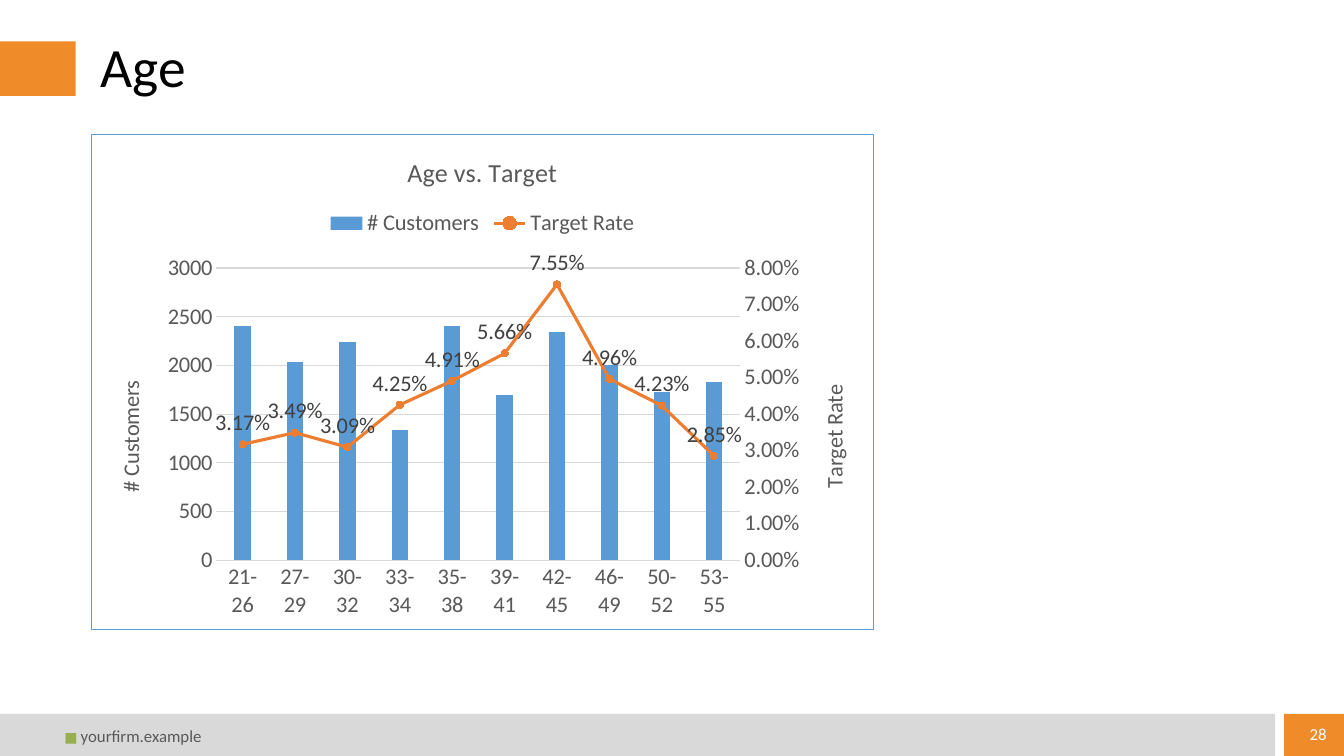
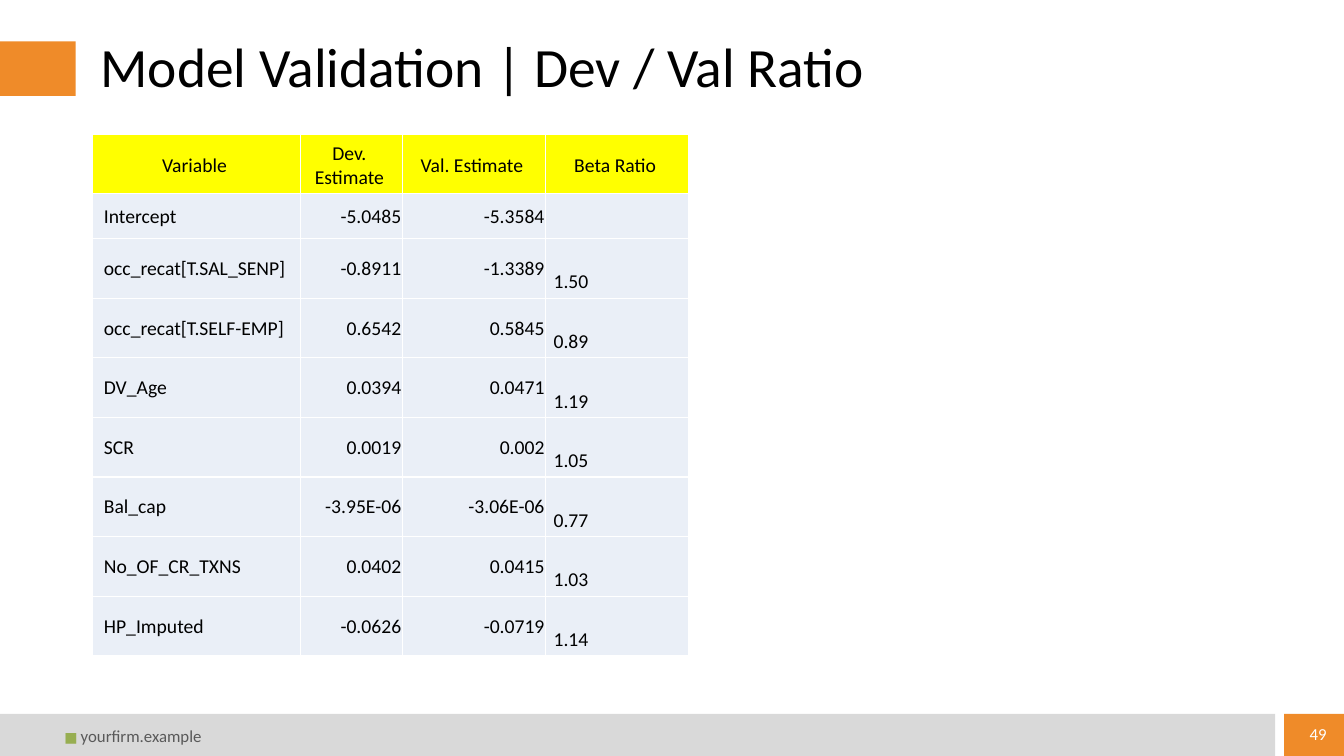
from copy import deepcopy

from pptx import Presentation
from pptx.chart.axis import CategoryAxis, ValueAxis
from pptx.chart.data import CategoryChartData
from pptx.dml.color import RGBColor
from pptx.enum.chart import (XL_CHART_TYPE, XL_LABEL_POSITION,
                             XL_LEGEND_POSITION, XL_MARKER_STYLE, XL_TICK_MARK)
from pptx.enum.shapes import MSO_SHAPE
from pptx.enum.text import MSO_ANCHOR, PP_ALIGN
from pptx.oxml import parse_xml
from pptx.oxml.ns import nsdecls
from pptx.util import Inches, Pt

RECT = MSO_SHAPE.RECTANGLE
MID, LOW = MSO_ANCHOR.MIDDLE, MSO_ANCHOR.BOTTOM
LEFT, MIDST, RIGHT = PP_ALIGN.LEFT, PP_ALIGN.CENTER, PP_ALIGN.RIGHT
BARS = XL_CHART_TYPE.COLUMN_CLUSTERED
TOP, ABOVE = XL_LEGEND_POSITION.TOP, XL_LABEL_POSITION.ABOVE
DOT, NONE = XL_MARKER_STYLE.CIRCLE, XL_TICK_MARK.NONE


class Theme:
    font = "Calibri"
    # Colours
    accent, band, leaf = "EF8B29", "D9D9D9", "97AE51"
    ink, grey, label, paper = "000000", "595959", "404040", "FFFFFF"
    bar, line = "5B9BD5", "ED7D31"
    head, body = "FFFF00", "EAEFF7"
    # Type sizes
    title, chart, axis, cell, small, tick = 39.6, 18.6, 16, 14, 12, 10


# Grid of 64 columns by 36 rows
WIDE, HIGH = Inches(13.33), Inches(7.5)


def col(n):
    return round(WIDE * n / 64)


def row(n):
    return round(HIGH * n / 36)


def grid(x, y, w, h):
    return col(x), row(y), col(w), row(h)


# Format helpers
def put(obj, **vals):
    for key, val in vals.items():
        setattr(obj, key, val)


def rgb(code):
    return RGBColor.from_string(code)


def ink(font, size, code):
    put(font, name=Theme.font, size=Pt(size), bold=False)
    font.color.rgb = rgb(code)


def paint(fill, code):
    fill.solid()
    fill.fore_color.rgb = rgb(code)


def stroke(line, code, width):
    line.width = Pt(width)
    paint(line.fill, code)


# Basic elements
def block(slide, at, code):
    shape = slide.shapes.add_shape(RECT, *grid(*at))
    shape.shadow.inherit = False
    paint(shape.fill, code)
    shape.line.fill.background()


def text(slide, at, runs, frame=None, para=None):
    box = slide.shapes.add_textbox(*grid(*at)).text_frame
    put(box, word_wrap=True, vertical_anchor=MID, **(frame or {}))
    line = box.paragraphs[0]
    put(line, **(para or {}))
    for words, size, code in runs:
        run = line.add_run()
        run.text = words
        ink(run.font, size, code)


def page(deck, title, number):
    slide = deck.slides.add_slide(deck.slide_layouts[6])
    block(slide, (0, 1.97, 3.6, 2.6), Theme.accent)
    block(slide, (61.15, 34, 2.85, 2), Theme.accent)
    block(slide, (0, 34, 60.72, 2), Theme.band)
    bare = dict.fromkeys(("margin_left", "margin_top",
                          "margin_right", "margin_bottom"), 0)
    text(slide, (3.07, 34.1, 21, 1.9),
         [("■ ", Theme.tick, Theme.leaf),
          ("yourfirm.example", Theme.small, Theme.grey)], bare)
    text(slide, (4.32, 1.82, 55.2, 2.98),
         [(title, Theme.title, Theme.ink)], para={"line_spacing": 0.9})
    text(slide, (61.63, 34, 2.02, 1.9),
         [(number, Theme.small, Theme.paper)], para={"alignment": RIGHT})
    return slide


# Chart
def name(axis, words):
    frame = axis.axis_title.text_frame
    frame.text = words
    ink(frame.paragraphs[0].font, Theme.axis, Theme.grey)
    turn = axis.axis_title.element.xpath(".//a:bodyPr")[0]
    turn.set("rot", "-5400000")
    turn.set("vert", "horz")


def scale(axis, top, step, form):
    put(axis, minimum_scale=0, maximum_scale=top, major_unit=step)
    put(axis.tick_labels, number_format=form, number_format_is_linked=False)


def plain(axis):
    put(axis, major_tick_mark=NONE, minor_tick_mark=NONE)
    ink(axis.tick_labels.font, Theme.axis, Theme.grey)


def twin(chart):
    """Move the last series to a line plot with its own axes."""
    area = chart.element.xpath(".//c:plotArea")[0]
    bars = area.xpath("c:barChart")[0]
    ids = ("50010", "50020")
    refs = "".join(f'<c:axId val="{n}"/>' for n in ids)
    plot = parse_xml(
        f'<c:lineChart {nsdecls("c")}><c:grouping val="standard"/>'
        f'<c:varyColors val="0"/><c:marker val="1"/>{refs}</c:lineChart>')
    ser = bars.xpath("c:ser")[-1]
    for node in ser.xpath("c:invertIfNegative"):
        ser.remove(node)
    plot.insert(2, ser)
    bars.addnext(plot)

    cat, val = area.xpath("c:catAx")[0], area.xpath("c:valAx")[0]
    cat2, val2 = deepcopy(cat), deepcopy(val)
    for node, own, other in ((cat2, *ids), (val2, *reversed(ids))):
        node.xpath("c:axId")[0].set("val", own)
        node.xpath("c:crossAx")[0].set("val", other)
    val2.xpath("c:axPos")[0].set("val", "r")
    val2.xpath("c:crosses")[0].set("val", "max")
    val.addnext(val2)
    val2.addnext(cat2)
    CategoryAxis(cat2).visible = False
    right = ValueAxis(val2)
    right.has_major_gridlines = False
    return right


def place(chart, **share):
    area = chart.element.xpath(".//c:plotArea")[0]
    for node in area.xpath("c:layout"):
        area.remove(node)
    spots = "".join(f'<c:{k} val="{v}"/>' for k, v in share.items())
    area.insert(0, parse_xml(
        f'<c:layout {nsdecls("c")}><c:manualLayout>'
        '<c:layoutTarget val="inner"/><c:xMode val="edge"/>'
        f'<c:yMode val="edge"/>{spots}</c:manualLayout></c:layout>'))


def border(chart, fill, code):
    chart.element.xpath("c:chart")[0].addnext(parse_xml(
        f'<c:spPr {nsdecls("c", "a")}><a:solidFill><a:srgbClr val="{fill}"/>'
        '</a:solidFill><a:ln w="9525"><a:solidFill>'
        f'<a:srgbClr val="{code}"/></a:solidFill></a:ln></c:spPr>'))


def combo(slide, at, title, cats, bars, line):
    data = CategoryChartData()
    data.categories = cats
    for key, vals in (bars, line):
        data.add_series(key, vals)
    chart = slide.shapes.add_chart(BARS, *grid(*at), data).chart
    ink(chart.font, Theme.axis, Theme.ink)
    border(chart, Theme.paper, Theme.bar)
    frame = chart.chart_title.text_frame
    frame.text = title
    ink(frame.paragraphs[0].font, Theme.chart, Theme.grey)
    chart.has_legend = True
    put(chart.legend, position=TOP, include_in_layout=False)
    ink(chart.legend.font, Theme.axis, Theme.grey)

    # Axes
    base, left = chart.category_axis, chart.value_axis
    plain(base)
    stroke(base.format.line, Theme.band, 0.75)
    plain(left)
    left.format.line.fill.background()
    stroke(left.major_gridlines.format.line, Theme.band, 0.75)
    right = twin(chart)
    for axis, key, top, step, form in (
            (left, bars[0], 3000, 500, "General"),
            (right, line[0], 0.08, 0.01, "0.00%")):
        name(axis, key)
        scale(axis, top, step, form)
    place(chart, x=0.16, y=0.27, w=0.67, h=0.59)

    # Series
    cols, path_plot = chart.plots
    put(cols, gap_width=219, overlap=-27, vary_by_categories=False)
    paint(cols.series[0].format.fill, Theme.bar)
    rate = path_plot.series[0]
    rate.smooth = False
    stroke(rate.format.line, Theme.line, 2.25)
    put(rate.marker, style=DOT, size=5)
    paint(rate.marker.format.fill, Theme.line)
    stroke(rate.marker.format.line, Theme.line, 0.75)
    tags = rate.data_labels
    put(tags, show_value=True, position=ABOVE, number_format="0.00%",
        number_format_is_linked=False)
    ink(tags.font, Theme.axis, Theme.label)


# Table
def pads(left, top, right, low):
    return dict(margin_left=Inches(left), margin_top=Inches(top),
                margin_right=Inches(right), margin_bottom=Inches(low))


WIDEPAD = pads(0.08, 0.08, 0.12, 0.04)
HEAD = (MIDST, dict(vertical_anchor=MID, **WIDEPAD))
NAME = (LEFT, dict(vertical_anchor=MID, **pads(0.11, 0.01, 0.01, 0)))
NUM = (RIGHT, dict(vertical_anchor=MID, **pads(0.01, 0.01, 0.01, 0)))
RATIO = (LEFT, dict(vertical_anchor=LOW, **WIDEPAD))


def fill(cell, words, code, style):
    align, form = style
    put(cell, text=words, **form)
    line = cell.text_frame.paragraphs[0]
    line.alignment = align
    ink(line.font, Theme.cell, Theme.ink)
    props = cell._tc.get_or_add_tcPr()
    for side in "LRTB":
        props.append(parse_xml(
            f'<a:ln{side} {nsdecls("a")} w="12700"><a:solidFill>'
            f'<a:srgbClr val="{Theme.paper}"/></a:solidFill></a:ln{side}>'))
    paint(cell.fill, code)


def table(slide, x, y, wide, high, rows):
    at = grid(x, y, sum(wide), sum(high))
    tab = slide.shapes.add_table(len(rows), len(wide), *at).table
    put(tab, first_row=False, horz_banding=False)
    for part, size in zip(tab.columns, wide):
        part.width = col(size)
    for part, size in zip(tab.rows, high):
        part.height = row(size)
    for r, line in enumerate(rows):
        styles = (NAME, NUM, NUM, RATIO) if r else (HEAD,) * 4
        code = Theme.body if r else Theme.head
        for c, words in enumerate(line):
            fill(tab.cell(r, c), words, code, styles[c])


# Content
AGES = ("21-26", "27-29", "30-32", "33-34", "35-38",
        "39-41", "42-45", "46-49", "50-52", "53-55")
COUNT = (2400, 2030, 2240, 1340, 2400, 1700, 2340, 2000, 1730, 1830)
RATE = (0.0317, 0.0349, 0.0309, 0.0425, 0.0491,
        0.0566, 0.0755, 0.0496, 0.0423, 0.0285)
RATIOS = (
    ("Variable", "Dev. Estimate", "Val. Estimate", "Beta Ratio"),
    ("Intercept", "-5.0485", "-5.3584", ""),
    ("occ_recat[T.SAL_SENP]", "-0.8911", "-1.3389", "1.50"),
    ("occ_recat[T.SELF-EMP]", "0.6542", "0.5845", "0.89"),
    ("DV_Age", "0.0394", "0.0471", "1.19"),
    ("SCR", "0.0019", "0.002", "1.05"),
    ("Bal_cap", "-3.95E-06", "-3.06E-06", "0.77"),
    ("No_OF_CR_TXNS", "0.0402", "0.0415", "1.03"),
    ("HP_Imputed", "-0.0626", "-0.0719", "1.14"),
)


def main():
    deck = Presentation()
    put(deck, slide_width=WIDE, slide_height=HIGH)
    slide = page(deck, "Age", "28")
    combo(slide, (4.32, 6.38, 37.3, 23.62), "Age vs. Target", AGES,
          ("# Customers", COUNT), ("Target Rate", RATE))
    slide = page(deck, "Model Validation | Dev / Val Ratio", "49")
    table(slide, 4.42, 6.38, (9.89, 4.85, 6.82, 6.82),
          (2.84, 2.14) + (2.84,) * 7, RATIOS)
    deck.save("out.pptx")


if __name__ == "__main__":
    main()
